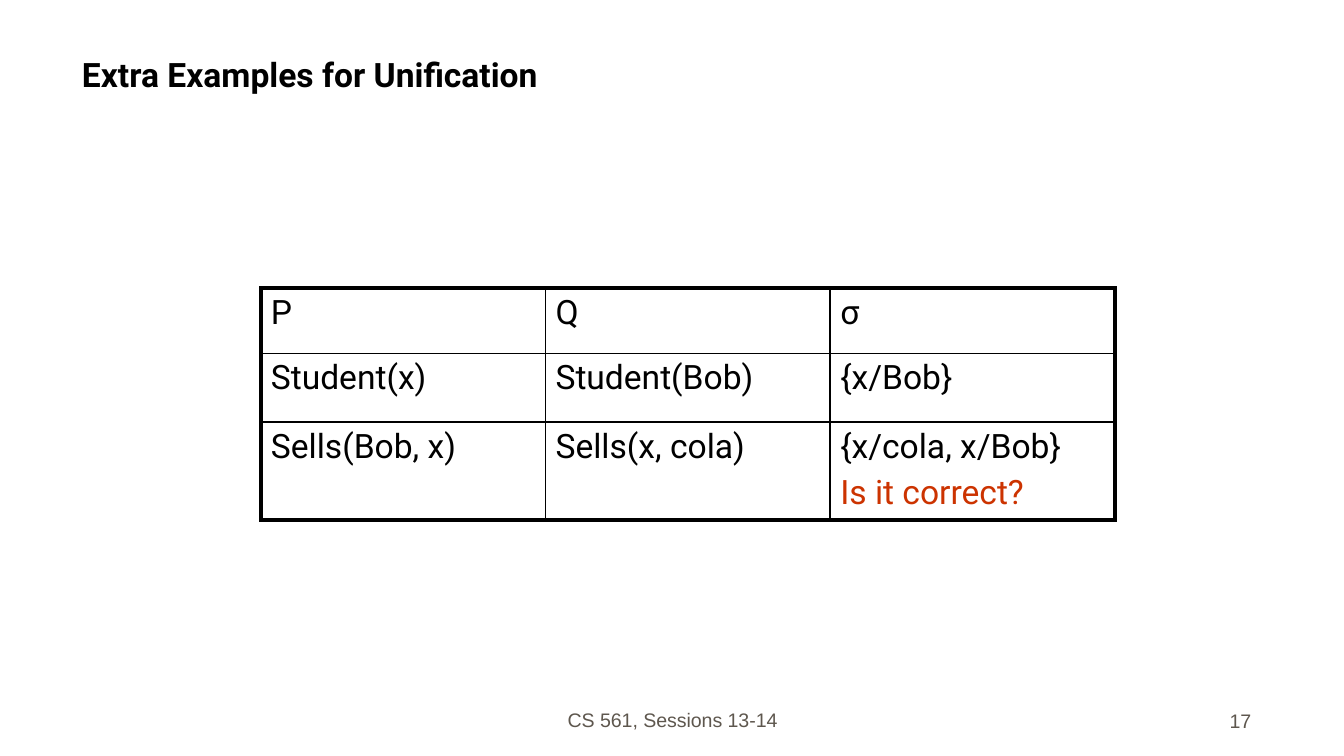
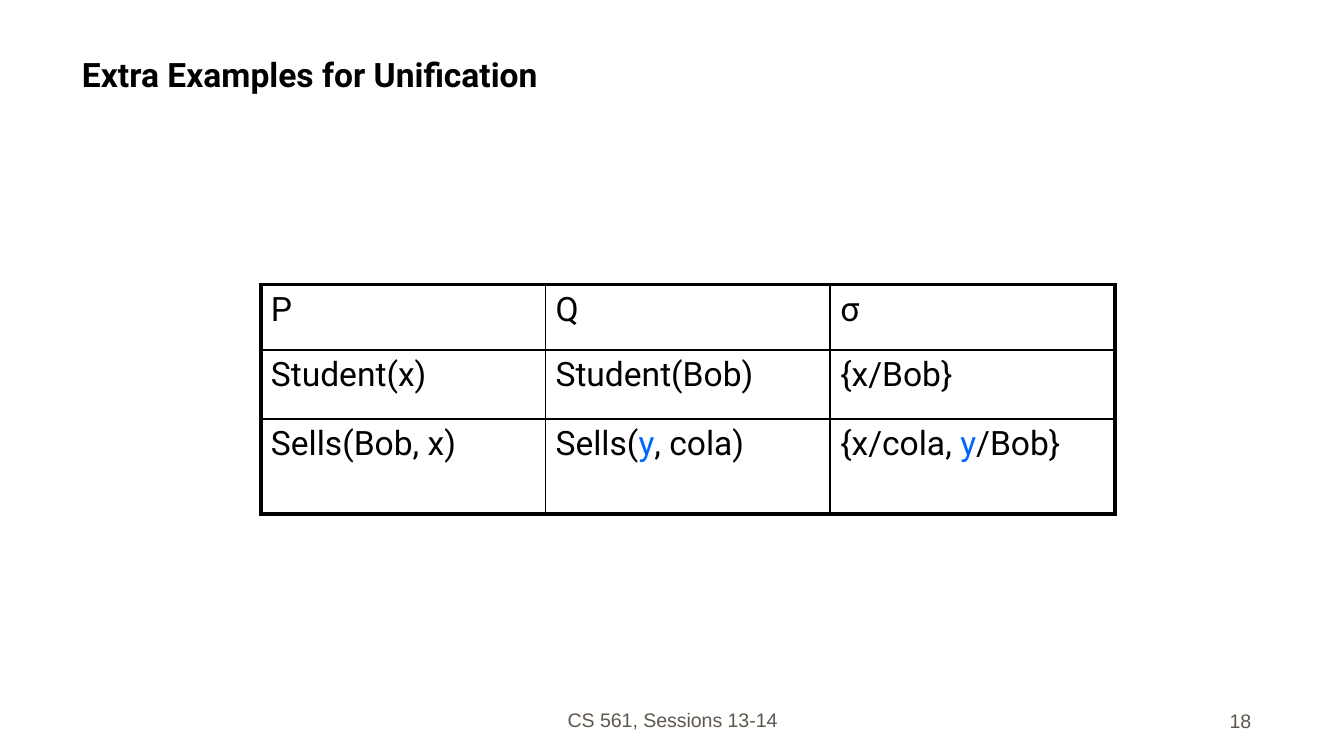
from dataclasses import dataclass

import pptx
import pptx.dml.color
import pptx.enum.text
import pptx.oxml.ns
import pptx.slide
import pptx.table
import pptx.text.text
import pptx.util
from lxml import etree

Cm = pptx.util.Cm
Pt = pptx.util.Pt
Align = pptx.enum.text.PP_ALIGN

COLOURS = {
    "black": "000000",
    "white": "FFFFFF",
    "footer": "5E574E",
    "question": "CC3300",
    "variable": "0066FF",
}
TITLE = "Extra Examples for Unification"
FOOTER = "CS 561, Sessions 13-14"
OUTER_WIDTH, INNER_WIDTH = 2.25, 1
TABLE_LEFT, COLUMN_WIDTH = 4.93, 5.38


@dataclass(frozen=True)
class Span:
    text: str
    colour: str = "black"


@dataclass(frozen=True)
class Place:
    left: float
    top: float
    width: float
    height: float


@dataclass(frozen=True)
class Example:
    number: int
    table_top: float
    row_heights: tuple[float, ...]
    sells: tuple[list[list[Span]], ...]


TITLE_PLACE = Place(1.3, 0.48, 22.65, 1.42)
FOOTER_PLACE = Place(8.69, 12.98, 8.05, 0.97)
NUMBER_PLACE = Place(18.62, 13, 5.28, 0.97)

EXAMPLES = [
    Example(17, 5.44, (1.24, 1.3, 1.85), (
        [[Span("Sells(Bob, x)")]],
        [[Span("Sells(x, cola)")]],
        [[Span("{x/cola, x/Bob}")], [Span("Is it correct?", "question")]],
    )),
    Example(18, 5.38, (1.24, 1.3, 1.8), (
        [[Span("Sells(Bob, x)")]],
        [[Span("Sells("), Span("y", "variable"), Span(", cola)")]],
        [[Span("{x/cola, "), Span("y", "variable"), Span("/Bob}")]],
    )),
]


def rgb(name: str) -> pptx.dml.color.RGBColor:
    return pptx.dml.color.RGBColor.from_string(COLOURS[name])


def write_text(frame: pptx.text.text.TextFrame, lines: list[list[Span]], *,
               font: str = "Roboto", size: float = 18, bold: bool = False,
               align: Align = Align.LEFT, gap: float = 3.6) -> None:
    frame.word_wrap = True
    for index, line in enumerate(lines):
        para = frame.add_paragraph() if index else frame.paragraphs[0]
        para.alignment = align
        if index:
            para.space_before = Pt(gap)
        for span in line:
            run = para.add_run()
            run.text = span.text
            run.font.name = font
            run.font.size = Pt(size)
            run.font.bold = bold
            run.font.color.rgb = rgb(span.colour)


def add_text(page: pptx.slide.Slide, place: Place, span: Span, **text_format) -> None:
    box = page.shapes.add_textbox(Cm(place.left), Cm(place.top),
                                  Cm(place.width), Cm(place.height))
    box.text_frame.vertical_anchor = pptx.enum.text.MSO_ANCHOR.BOTTOM
    write_text(box.text_frame, [[span]], **text_format)


def add_borders(cell: pptx.table._Cell, outer_sides: dict[str, bool]) -> None:
    qn = pptx.oxml.ns.qn
    properties = cell._tc.get_or_add_tcPr()
    for side, outer in outer_sides.items():
        width = OUTER_WIDTH if outer else INNER_WIDTH
        line = etree.SubElement(properties, qn(f"a:ln{side}"), w=str(Pt(width)))
        fill = etree.SubElement(line, qn("a:solidFill"))
        etree.SubElement(fill, qn("a:srgbClr"), val=COLOURS["black"])


def add_unification_table(page: pptx.slide.Slide, example: Example) -> None:
    rows = [
        [[[Span(text)]] for text in ("P", "Q", "σ")],
        [[[Span(text)]] for text in ("Student(x)", "Student(Bob)", "{x/Bob}")],
        example.sells,
    ]
    last_row, last_column = len(rows) - 1, len(rows[0]) - 1
    table = page.shapes.add_table(
        len(rows), len(rows[0]), Cm(TABLE_LEFT), Cm(example.table_top),
        Cm(COLUMN_WIDTH * len(rows[0])), Cm(sum(example.row_heights))).table
    table.first_row = table.horz_banding = False
    for column in table.columns:
        column.width = Cm(COLUMN_WIDTH)
    for row, height in zip(table.rows, example.row_heights):
        row.height = Cm(height)
    for r, row in enumerate(rows):
        for c, lines in enumerate(row):
            cell = table.cell(r, c)
            cell.margin_left = cell.margin_right = Cm(0.19)
            cell.margin_top = cell.margin_bottom = Cm(0.1)
            add_borders(cell, {"L": c == 0, "R": c == last_column,
                               "T": r == 0, "B": r == last_row})
            cell.fill.background()
            write_text(cell.text_frame, lines)


def add_example(deck, example: Example) -> None:
    page = deck.slides.add_slide(deck.slide_layouts[6])
    page.background.fill.solid()
    page.background.fill.fore_color.rgb = rgb("white")
    add_text(page, FOOTER_PLACE, Span(FOOTER, "footer"),
             font="Arial", size=10.5, align=Align.CENTER)
    add_text(page, NUMBER_PLACE, Span(str(example.number), "footer"),
             font="Arial", size=10.5, align=Align.RIGHT)
    add_text(page, TITLE_PLACE, Span(TITLE), bold=True)
    add_unification_table(page, example)


def main() -> None:
    deck = pptx.Presentation()
    deck.slide_width, deck.slide_height = Cm(25.4), Cm(14.29)
    for example in EXAMPLES:
        add_example(deck, example)
    deck.save("out.pptx")


if __name__ == "__main__":
    main()
